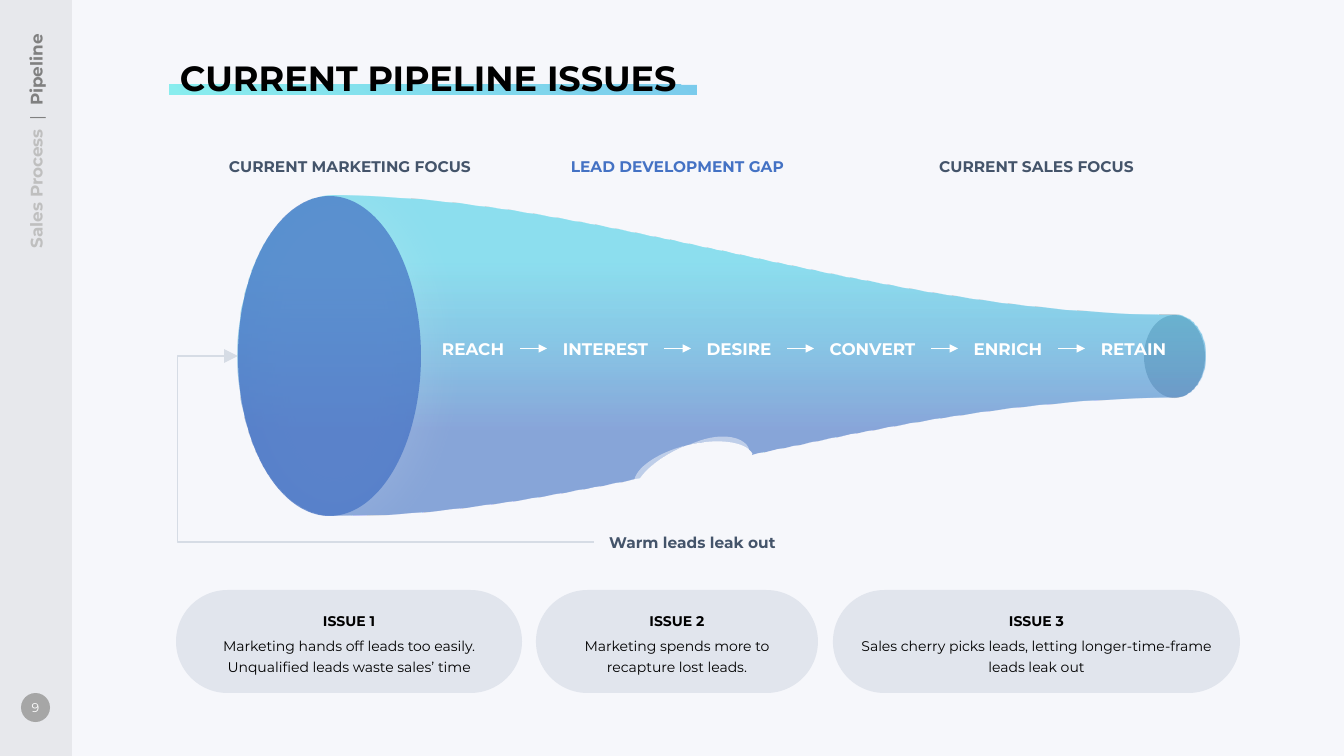
from itertools import pairwise
from lxml import etree
from pptx import Presentation
from pptx.dml.color import RGBColor
from pptx.enum import shapes, text
from pptx.oxml import parse_xml
from pptx.oxml.ns import nsdecls, qn
from pptx.util import Pt

PX = 914400 / 100.8
FONT = "Montserrat"
HUES = {
    "page": "F6F7FB", "side": "404040", "dot": "A6A6A6", "mute": "BFBFBF",
    "gray": "808080", "ink": "000000", "white": "FFFFFF", "slate": "44546A",
    "blue": "4472C4", "cyan": "0FC3E0", "mint": "1DE5E2", "sky": "00A0DE",
    "pill": "E1E5ED", "loop": "D6DCE5",
}
FORMS = shapes.MSO_SHAPE
LINKS = shapes.MSO_CONNECTOR
ALIGN = text.PP_ALIGN
ANCHOR = text.MSO_ANCHOR

FUNNEL = [
    (333, 196), (602, 196, 874, 315, 1175, 315), (1192, 315, 1206, 333, 1206, 356),
    (1206, 379, 1192, 398, 1175, 398), (893, 398, 638, 501, 387, 515), (333, 516),
    (280, 516, 238, 445, 238, 356), (238, 268, 280, 196, 333, 196),
]
HOLE = [
    (703, 444), (726, 443, 747, 449, 753, 459), (754, 461), (752, 465),
    (746, 477, 727, 490, 702, 498), (683, 500), (663, 501, 646, 497, 637, 490),
    (633, 486), (633, 484), (635, 471, 656, 455, 685, 446),
    (694, 444, 699, 444, 703, 444),
]
RIGHT = [
    (719, 440), (736, 440, 748, 446, 751, 455), (751, 461), (750, 460),
    (743, 448, 718, 441, 689, 445), (687, 446), (698, 443),
    (705, 441, 713, 440, 719, 440),
]
LEFT = [
    (687, 445), (685, 446), (658, 454, 637, 470, 635, 484), (635, 485),
    (633, 482, 633, 480, 633, 479), (631, 466, 650, 453, 677, 447), (687, 445),
]


def emu(*sizes):
    return [round(size * PX) for size in sizes]


def rgb(hue):
    return RGBColor.from_string(HUES[hue])


def paint(form, hue, alpha=100):
    form.fill.solid()
    form.fill.fore_color.rgb = rgb(hue)
    if alpha < 100:
        tint = form._element.spPr.find(".//" + qn("a:srgbClr"))
        etree.SubElement(tint, qn("a:alpha")).set("val", str(alpha * 1000))
    form.line.fill.background()
    form.shadow.inherit = False
    return form


def blend(form, stops, way):
    paint(form, stops[0][1])
    marks = "".join(
        f'<a:gs pos="{at * 1000}"><a:srgbClr val="{HUES[hue]}">'
        f'<a:alpha val="{alpha * 1000}"/></a:srgbClr></a:gs>'
        for at, hue, alpha in stops)
    grad = parse_xml(f'<a:gradFill {nsdecls("a")} rotWithShape="1">'
                     f'<a:gsLst>{marks}</a:gsLst>{way}</a:gradFill>')
    props = form._element.spPr
    props.replace(props.find(qn("a:solidFill")), grad)


def glow(form, hue, alpha, blur, shift):
    halo = parse_xml(
        f'<a:outerShdw {nsdecls("a")} blurRad="{Pt(blur)}" dist="{Pt(shift)}" dir="0" '
        f'algn="l" rotWithShape="0"><a:srgbClr val="{HUES[hue]}">'
        f'<a:alpha val="{alpha * 1000}"/></a:srgbClr></a:outerShdw>')
    form._element.spPr.find(qn("a:effectLst")).append(halo)


def shape(slide, kind, box):
    return slide.shapes.add_shape(kind, *emu(*box))


def curve(slide, steps):
    spots = [emu(*step[at:at + 2]) for step in steps for at in range(0, len(step), 2)]
    pen = slide.shapes.build_freeform(*spots[0])
    pen.add_line_segments(spots[1:], close=True)
    form = pen.convert_to_shape()
    lines = iter(list(form._element.spPr.iter(qn("a:lnTo"))))
    for step in steps[1:]:
        line = next(lines)
        if len(step) == 6:
            line.addprevious(bend := etree.Element(qn("a:cubicBezTo")))
            for part in (line, next(lines), next(lines)):
                bend.append(part[0])
                part.getparent().remove(part)
    return form


def write(form, *paras, size=11, hue="slate", bold=True, align=ALIGN.CENTER,
          anchor=ANCHOR.TOP, wrap=True, pad=(10, 5), lead=None, after=None):
    frame = form.text_frame
    frame.word_wrap = wrap
    frame.vertical_anchor = anchor
    frame.margin_left = frame.margin_right = emu(pad[0])[0]
    frame.margin_top = frame.margin_bottom = emu(pad[1])[0]
    for spot, runs in enumerate(paras):
        para = frame.add_paragraph() if spot else frame.paragraphs[0]
        para.alignment = align
        if lead:
            para.line_spacing = Pt(lead)
            para.space_after = Pt(after)
        for words, tone, heavy in [(runs, hue, bold)] if isinstance(runs, str) else runs:
            run = para.add_run()
            run.text = words
            run.font.name = FONT
            run.font.size = Pt(size)
            run.font.bold = heavy
            run.font.color.rgb = rgb(tone)


def label(slide, words, box, **style):
    form = slide.shapes.add_textbox(*emu(*box))
    write(form, words, **style)
    return form


def arrow(slide, kind, ends, hue, head="med"):
    link = slide.shapes.add_connector(kind, *emu(*ends))
    link.line.color.rgb = rgb(hue)
    link.line.width = Pt(1)
    tip = etree.SubElement(link.line._get_or_add_ln(), qn("a:tailEnd"))
    for key, value in (("type", "triangle"), ("w", head), ("len", head)):
        tip.set(key, value)
    etree.SubElement(link._element.spPr, qn("a:effectLst"))
    return link


def frame_side(slide):
    paint(shape(slide, FORMS.RECTANGLE, (0, 0, 72, 756)), "side", 8)
    dot = paint(shape(slide, FORMS.OVAL, (21, 693, 29, 29)), "dot")
    write(dot, "9", size=9, hue="white", bold=False, anchor=ANCHOR.MIDDLE,
          wrap=False, pad=(0, 0))
    crumb = [("Sales Process ", "mute", True), (" | ", "gray", False),
             (" Pipeline", "gray", True)]
    label(slide, crumb, (-85, 130, 242, 30), size=12, align=ALIGN.RIGHT,
          wrap=False).rotation = 270


def draw_funnel(slide):
    paint(shape(slide, FORMS.OVAL, (1144, 315, 61, 83)), "slate", 35)
    blend(curve(slide, FUNNEL), [(20, "cyan", 45), (73, "blue", 61)],
          '<a:lin ang="5400000" scaled="0"/>')
    mouth = paint(shape(slide, FORMS.OVAL, (238, 196, 183, 320)), "blue", 72)
    glow(mouth, "white", 17, 38.6, 3)
    leak = [paint(curve(slide, steps), "page", alpha)
            for steps, alpha in ((HOLE, 100), (RIGHT, 50), (LEFT, 50))]
    slide.shapes.add_group_shape(leak).rotation = 353


def list_steps(slide):
    left, gap, boxes = 426, 27, []
    for name, wide in (("REACH", 94), ("INTEREST", 117), ("DESIRE", 96),
                       ("CONVERT", 117), ("ENRICH", 100), ("RETAIN", 97)):
        boxes.append(label(slide, name, (left, 334, wide, 29), size=12, hue="white",
                           anchor=ANCHOR.MIDDLE, wrap=False, pad=(15, 5)))
        left += wide + gap
    for prior, later in pairwise(boxes):
        link = arrow(slide, LINKS.STRAIGHT, (0, 0, 1, 1), "white")
        link.begin_connect(prior, 3)
        link.end_connect(later, 1)


def draw_loop(slide):
    label(slide, "Warm leads leak out", (568, 528, 249, 29))
    loop = arrow(slide, LINKS.ELBOW, (594, 542, 238, 356), "loop", "lg")
    guides = loop._element.spPr.find(qn("a:prstGeom")).get_or_add_avLst()
    bend = etree.SubElement(guides, qn("a:gd"))
    bend.set("name", "adj1")
    bend.set("fmla", "val 116900")


def list_issues(slide):
    issues = [
        (176, 346, "Marketing hands off leads too easily. Unqualified leads waste sales’ time"),
        (536, 282, "Marketing spends more to recapture lost leads."),
        (833, 407, "Sales cherry picks leads, letting longer-time-frame leads leak out"),
    ]
    for count, (left, wide, words) in enumerate(issues, 1):
        pill = paint(shape(slide, FORMS.ROUNDED_RECTANGLE, (left, 590, wide, 103)), "pill")
        pill.adjustments[0] = 0.5
        write(pill, [(f"ISSUE {count}", "ink", True)], [(words, "ink", False)],
              size=10, anchor=ANCHOR.MIDDLE, lead=15, after=3)


def main():
    deck = Presentation()
    deck.slide_width, deck.slide_height = emu(1344, 756)
    slide = deck.slides.add_slide(deck.slide_layouts[6])
    slide.background.fill.solid()
    slide.background.fill.fore_color.rgb = rgb("page")
    frame_side(slide)
    blend(shape(slide, FORMS.RECTANGLE, (169, 85, 528, 10)),
          [(0, "mint", 50), (100, "sky", 50)],
          '<a:path path="circle"><a:fillToRect t="100000" r="100000"/></a:path>')
    label(slide, "CURRENT PIPELINE ISSUES", (170, 52, 524, 52), size=25, hue="ink",
          align=ALIGN.LEFT, wrap=False)
    draw_funnel(slide)
    list_steps(slide)
    for words, left, wide, hue in (("CURRENT MARKETING FOCUS", 170, 360, "slate"),
                                   ("LEAD DEVELOPMENT GAP", 530, 295, "blue"),
                                   ("CURRENT SALES FOCUS", 825, 423, "slate")):
        label(slide, words, (left, 152, wide, 29), hue=hue)
    draw_loop(slide)
    list_issues(slide)
    deck.save("out.pptx")


if __name__ == "__main__":
    main()
